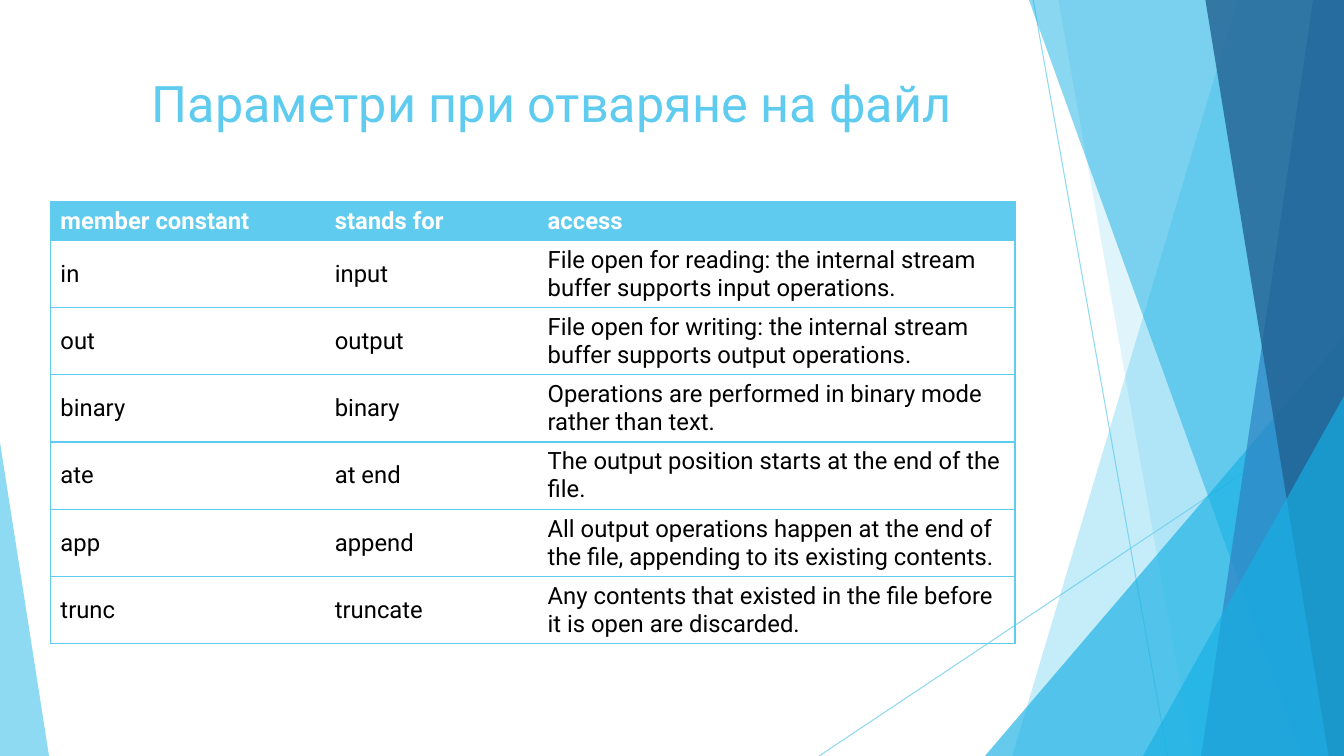
from dataclasses import dataclass
from typing import Any

from pptx import Presentation
from pptx.dml.color import RGBColor
from pptx.enum import shapes, text
from pptx.oxml.ns import qn
from pptx.util import Pt
from lxml import etree

SKY = RGBColor(0x5F, 0xCB, 0xEF)
CYAN = RGBColor(0x17, 0xB0, 0xE4)
BLUE = RGBColor(0x2E, 0x83, 0xC3)
NAVY = RGBColor(0x22, 0x62, 0x92)
WHITE = RGBColor(0xFF, 0xFF, 0xFF)
BLACK = RGBColor(0, 0, 0)
WIDTH, HEIGHT = 960, 540

OPEN_MODES = [
    ("member constant", "stands for", "access"),
    ("in", "input", "File open for reading: the internal stream buffer supports input operations."),
    ("out", "output", "File open for writing: the internal stream buffer supports output operations."),
    ("binary", "binary", "Operations are performed in binary mode rather than text."),
    ("ate", "at end", "The output position starts at the end of the file."),
    ("app", "append", "All output operations happen at the end of the file, appending to its existing contents."),
    ("trunc", "truncate", "Any contents that existed in the file before it is open are discarded."),
]


@dataclass
class Deck:
    slide: Any
    font: str = "Roboto"
    title_size: float = 36
    body_size: float = 17
    accent: RGBColor = SKY

    def fade(self, shape, opacity):
        for color in shape._element.spPr.iter(qn("a:srgbClr")):
            etree.SubElement(color, qn("a:alpha"), val=str(opacity * 1000))

    def paint(self, shape, color, opacity):
        shape.shadow.inherit = False
        shape.fill.solid()
        shape.fill.fore_color.rgb = color
        shape.line.fill.background()
        self.fade(shape, opacity)

    def ray(self, start, end):
        ray = self.slide.shapes.add_connector(
            shapes.MSO_CONNECTOR.STRAIGHT, *map(Pt, start + end))
        ray.line.color.rgb = self.accent
        ray.line.width = Pt(0.75)
        self.fade(ray, 70)
        etree.SubElement(ray._element.spPr, qn("a:effectLst"))

    def band(self, top_left, bottom_left, color, opacity):
        outline = self.slide.shapes.build_freeform(top_left, 0, scale=Pt(1))
        outline.add_line_segments([(WIDTH, 0), (WIDTH, HEIGHT), (bottom_left, HEIGHT)])
        self.paint(outline.convert_to_shape(), color, opacity)

    def corner(self, left, top, width, apex, color, opacity):
        corner = self.slide.shapes.add_shape(
            shapes.MSO_SHAPE.ISOSCELES_TRIANGLE,
            *map(Pt, (left, top, width, HEIGHT - top)))
        corner.adjustments[0] = apex
        self.paint(corner, color, opacity)

    def style(self, paragraph, size, color, bold=False):
        paragraph.font.name = self.font
        paragraph.font.size = Pt(size)
        paragraph.font.color.rgb = color
        paragraph.font.bold = bold

    def title(self, wording, left, top, width, height):
        frame = self.slide.shapes.add_textbox(*map(Pt, (left, top, width, height))).text_frame
        frame.word_wrap = True
        frame.text = wording
        self.style(frame.paragraphs[0], self.title_size, self.accent)

    def border(self, cell, side, visible):
        edge = etree.SubElement(cell._tc.get_or_add_tcPr(), qn(f"a:ln{side}"), w=str(Pt(1)))
        if visible:
            fill = etree.SubElement(edge, qn("a:solidFill"))
            etree.SubElement(fill, qn("a:srgbClr"), val=str(self.accent))
        else:
            etree.SubElement(edge, qn("a:noFill"))

    def table(self, rows, left, top, widths, header_height, row_height):
        heights = [header_height] + [row_height] * (len(rows) - 1)
        table = self.slide.shapes.add_table(
            len(rows), len(widths),
            *map(Pt, (left, top, sum(widths), sum(heights)))).table
        table.horz_banding = False
        for column, width in zip(table.columns, widths):
            column.width = Pt(width)
        for r, (row, height) in enumerate(zip(rows, heights)):
            table.rows[r].height = Pt(height)
            for c, wording in enumerate(row):
                cell = table.cell(r, c)
                cell.text = wording
                cell.vertical_anchor = text.MSO_ANCHOR.MIDDLE
                header = r == 0
                self.style(cell.text_frame.paragraphs[0], self.body_size,
                           WHITE if header else BLACK, header)
                self.border(cell, "L", c == 0)
                self.border(cell, "R", c == len(row) - 1)
                self.border(cell, "T", True)
                self.border(cell, "B", True)
                if header:
                    cell.fill.solid()
                    cell.fill.fore_color.rgb = self.accent
                else:
                    cell.fill.background()


def main():
    presentation = Presentation()
    presentation.slide_width, presentation.slide_height = Pt(WIDTH), Pt(HEIGHT)
    deck = Deck(presentation.slides.add_slide(presentation.slide_layouts[6]))

    deck.ray((738, 0), (834, HEIGHT))
    deck.ray((WIDTH, 290), (585, HEIGHT))
    deck.band(884, 723, SKY, 36)
    deck.band(756, 852, SKY, 20)
    deck.corner(703.5, 240, 256.5, 1, CYAN, 66)
    deck.band(735, 930, CYAN, 50)
    deck.band(938, 858, BLUE, 70)
    deck.band(861, 949, NAVY, 80)
    deck.corner(816.5, 283, 143.5, 1, CYAN, 66)
    deck.corner(0, 316, 35, 0, SKY, 70)

    deck.title("Параметри при отваряне на файл", 101.5, 48, 803, 86.5)
    deck.table(OPEN_MODES, 36, 144, (196, 152, 341), 27.5, 47)
    presentation.save("out.pptx")


if __name__ == "__main__":
    main()
